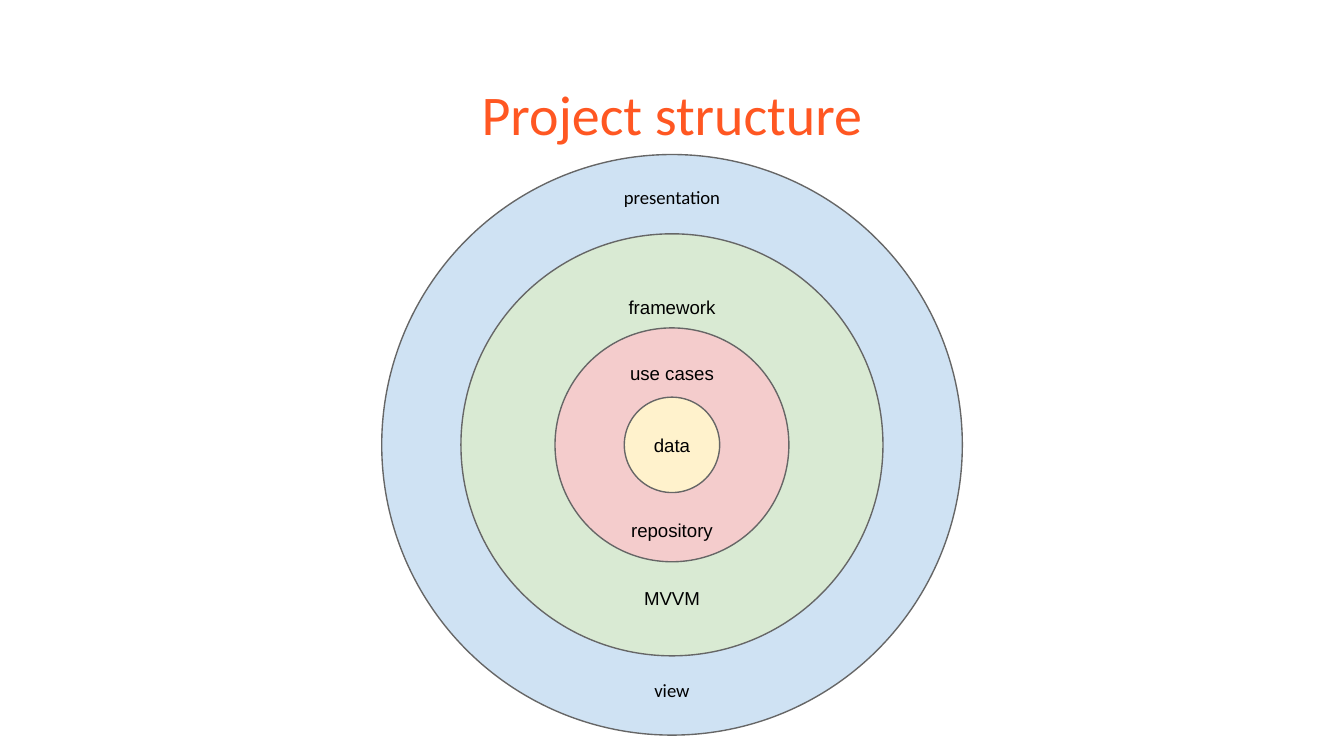
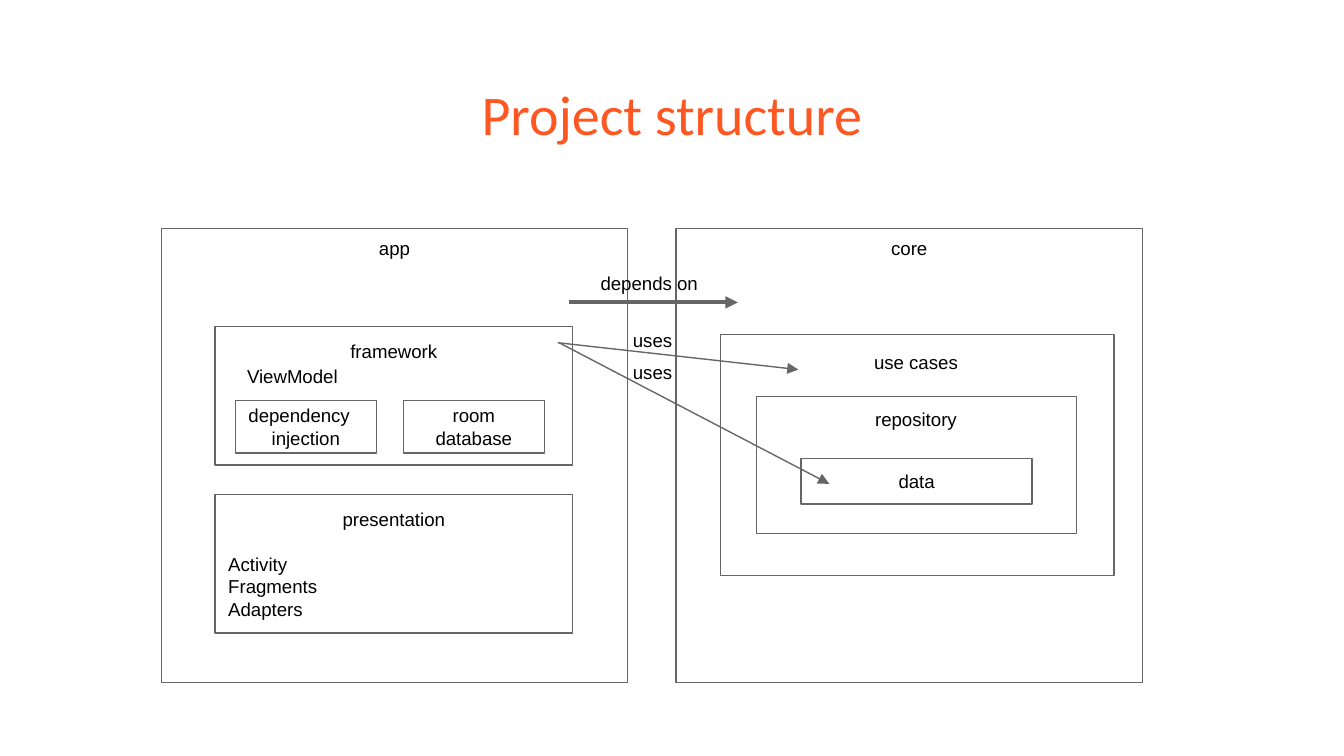
from dataclasses import dataclass
from lxml import etree
from pptx import Presentation
from pptx.dml.color import RGBColor
from pptx.enum.shapes import MSO_CONNECTOR, MSO_SHAPE
from pptx.enum.text import MSO_ANCHOR, PP_ALIGN
from pptx.oxml.ns import qn
from pptx.util import Inches, Pt

RECT, OVAL = MSO_SHAPE.RECTANGLE, MSO_SHAPE.OVAL
LINE = MSO_CONNECTOR.STRAIGHT
LEFT, MID = PP_ALIGN.LEFT, PP_ALIGN.CENTER
TOP, CORE = MSO_ANCHOR.TOP, MSO_ANCHOR.MIDDLE


@dataclass(frozen=True)
class Theme:
    title: str = "FF5722"
    ink: str = "000000"
    edge: str = "666666"
    blue: str = "CFE2F3"
    green: str = "D9EAD3"
    pink: str = "F4CCCC"
    cream: str = "FFF2CC"
    head: str = "Calibri"
    body: str = "Arial"
    big: int = 30
    small: int = 10
    thin: float = 0.75
    thick: float = 2.25


T = Theme()
WIDTH = 10
SIZE = (WIDTH, WIDTH * 9 / 16)
TITLE = "Project structure"

# Rings, outermost first: diameter, fill, lines, text format.
# A line is a string, or (string, alignment, points of space above).
HUB = (5, 3.31)
RINGS = [
    (4.32, T.blue, [], {}),
    (3.14, T.green, ["framework", ("MVVM", MID, 144)], {"pad": 0}),
    (1.74, T.pink, ["use cases", ("repository", MID, 72)], {"pad": 0}),
    (0.71, T.cream, ["data"], {"anchor": CORE}),
]
OUTER = [("presentation", 1.3), ("view", 4.97)]

# Modules: name, left edge
PANELS = [("app", 1.2), ("core", 5.03)]
PANEL = (1.7, 3.47, 3.38)

# Boxes: place, lines, anchor
BOXES = [
    ((5.36, 2.49, 2.93, 1.79), [], TOP),
    ((5.63, 2.95, 2.38, 1.02), [], TOP),
    ((5.96, 3.41, 1.72, 0.34), ["data"], CORE),
    ((1.6, 2.43, 2.66, 1.03), ["framework"], TOP),
    ((1.75, 2.98, 1.05, 0.39), [("dependency", LEFT, 0), "injection"], CORE),
    ((3, 2.98, 1.05, 0.39), ["room database"], CORE),
    ((1.6, 3.68, 2.66, 1.03),
     ["presentation", ("Activity", LEFT, 12), ("Fragments", LEFT, 0),
      ("Adapters", LEFT, 0)], TOP),
]

# Labels: left, top, text, alignment
LABELS = [
    (6.31, 2.53, "use cases", MID),
    (6.31, 2.95, "repository", MID),
    (1.67, 2.63, "ViewModel", MID),
    (4.37, 1.94, "depends on", LEFT),
    (4.35, 2.36, "uses", MID),
    (4.35, 2.6, "uses", MID),
]
LABEL = (1.01, 0.39)

# Arrows: from, to, width
ARROWS = [
    ((4.23, 2.25), (5.49, 2.25), T.thick),
    ((4.15, 2.55), (5.94, 2.75), T.thin),
    ((4.16, 2.55), (6.17, 3.6), T.thin),
]


def tint(code):
    return RGBColor.from_string(code)


def inch(vals):
    return [Inches(v) for v in vals]


def write(shape, lines, font=T.body, size=T.small, color=T.ink,
          align=MID, anchor=TOP, pad=0.1):
    frame = shape.text_frame
    frame.word_wrap = True
    frame.vertical_anchor = anchor
    frame.margin_left = frame.margin_right = Inches(0.1)
    frame.margin_top = frame.margin_bottom = Inches(pad)
    for i, line in enumerate(lines):
        text, side, gap = (line, align, 0) if isinstance(line, str) else line
        para = frame.add_paragraph() if i else frame.paragraphs[0]
        para.alignment = side
        para.space_before = Pt(gap)
        run = para.add_run()
        run.text = text
        run.font.name = font
        run.font.size = Pt(size)
        run.font.color.rgb = tint(color)


def label(slide, place, text, **style):
    write(slide.shapes.add_textbox(*inch(place)), [text], **style)


def block(slide, kind, place, lines, fill=None, **style):
    shape = slide.shapes.add_shape(kind, *inch(place))
    shape.shadow.inherit = False
    if fill:
        shape.fill.solid()
        shape.fill.fore_color.rgb = tint(fill)
    else:
        shape.fill.background()
    shape.line.color.rgb = tint(T.edge)
    shape.line.width = Pt(T.thin)
    if lines:
        write(shape, lines, **style)


def arrow(slide, start, end, width):
    link = slide.shapes.add_connector(LINE, *inch(start + end))
    link.line.color.rgb = tint(T.edge)
    link.line.width = Pt(width)
    edge = link._element.spPr.find(qn("a:ln"))
    etree.SubElement(edge, qn("a:tailEnd")).set("type", "triangle")
    etree.SubElement(link._element.spPr, qn("a:effectLst"))


def page(deck):
    slide = deck.slides.add_slide(deck.slide_layouts[6])
    label(slide, (0.34, 0.49, 9.32, 0.63), TITLE,
          font=T.head, size=T.big, color=T.title)
    return slide


def rings(deck):
    slide = page(deck)
    x, y = HUB
    for d, fill, lines, style in RINGS:
        place = (x - d / 2, y - d / 2, d, d)
        block(slide, OVAL, place, lines, fill, **style)
    for text, top in OUTER:
        label(slide, (4.45, top, 1.1, 0.57), text, font=T.head)


def modules(deck):
    slide = page(deck)
    top, wide, high = PANEL
    for name, left in PANELS:
        block(slide, RECT, (left, top, wide, high), [])
        label(slide, (left + 1.23, top - 0.02, 1.01, 0.34), name)
    for place, lines, anchor in BOXES:
        block(slide, RECT, place, lines, anchor=anchor)
    for start, end, width in ARROWS:
        arrow(slide, start, end, width)
    for left, y, text, side in LABELS:
        label(slide, (left, y, *LABEL), text, align=side)


def main():
    deck = Presentation()
    deck.slide_width, deck.slide_height = inch(SIZE)
    rings(deck)
    modules(deck)
    deck.save("out.pptx")


if __name__ == "__main__":
    main()
